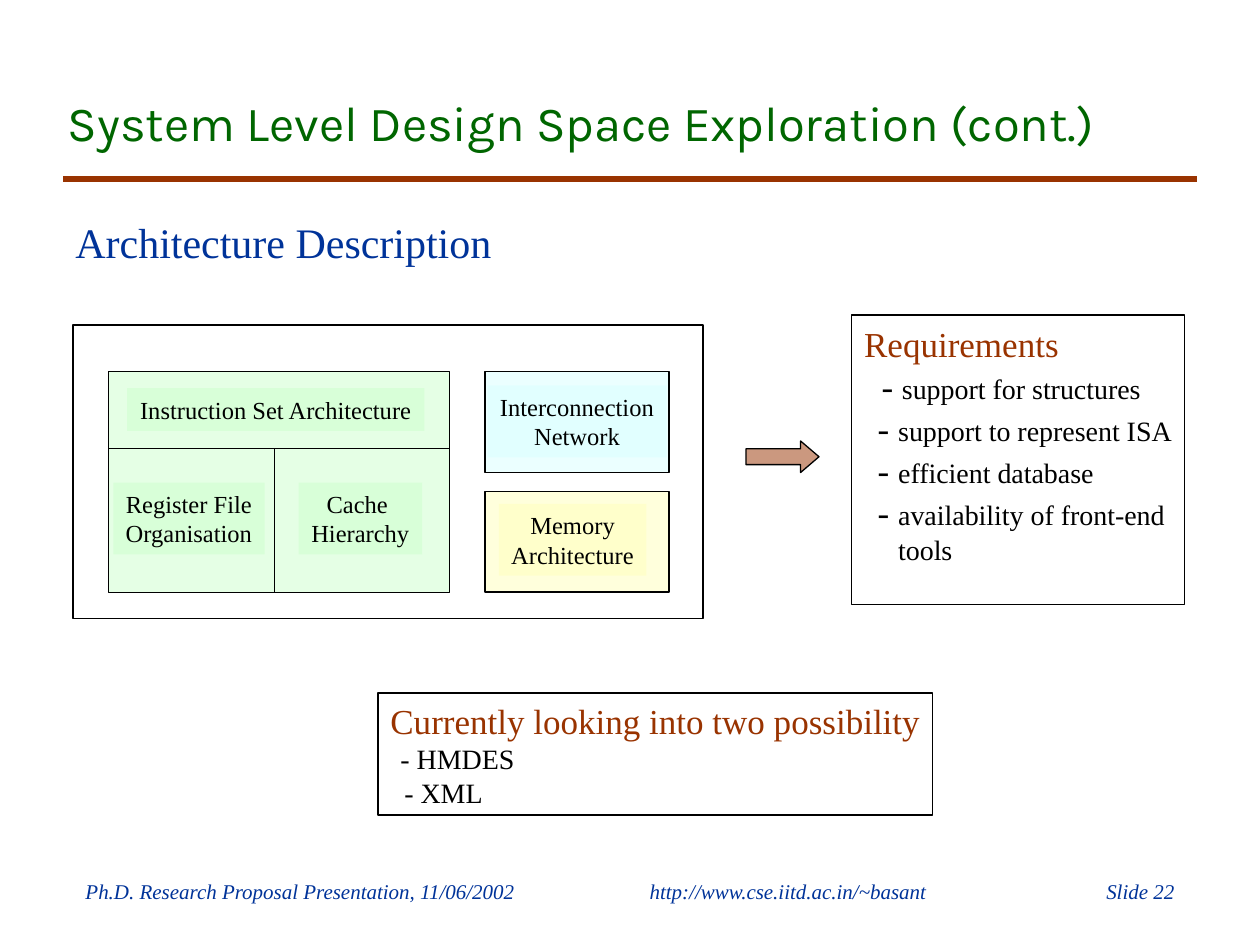
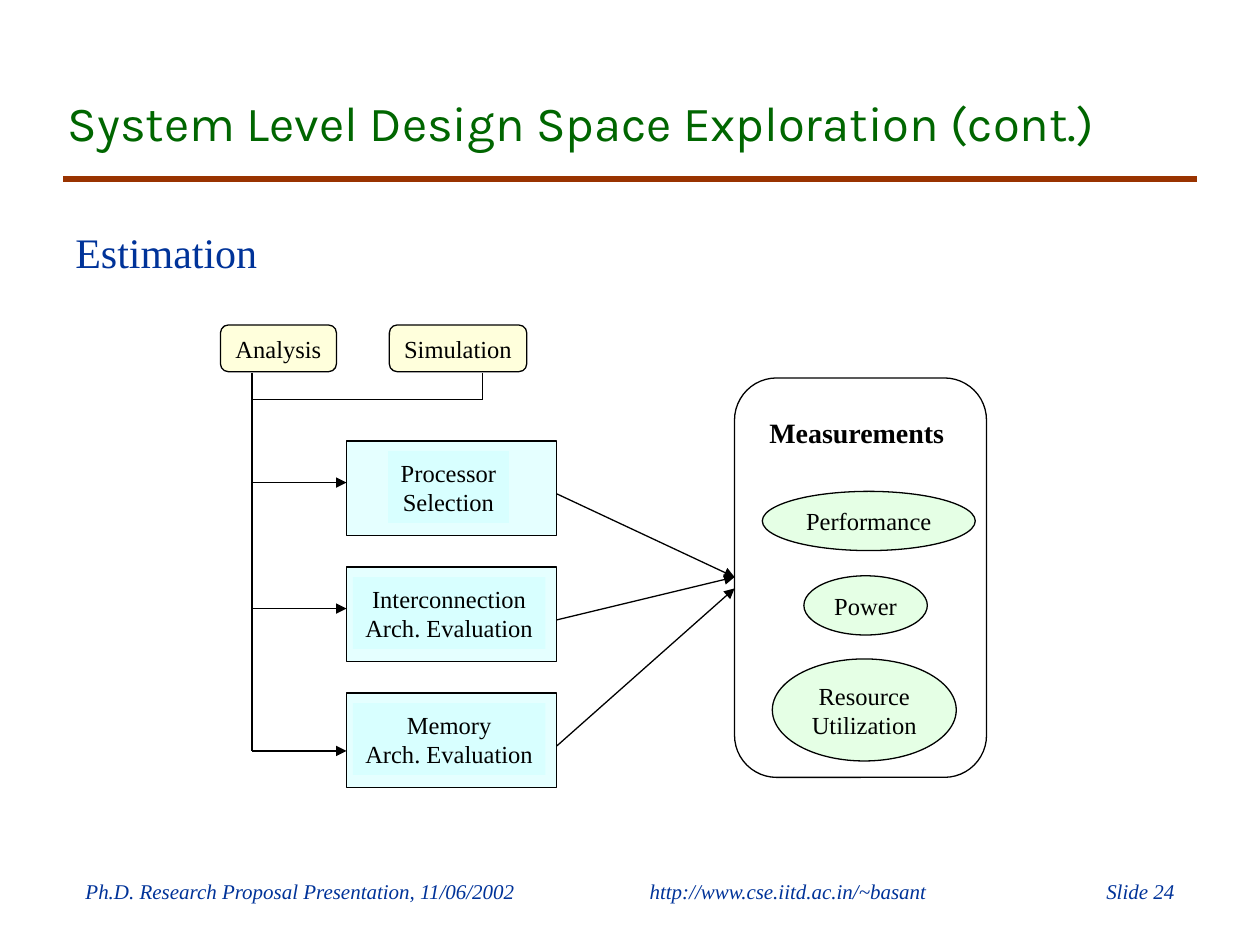
from lxml import etree
from pptx import Presentation
from pptx.dml.color import RGBColor
from pptx.enum.shapes import MSO_CONNECTOR, MSO_SHAPE as SHAPE
from pptx.enum.text import MSO_ANCHOR as ANCHOR, PP_ALIGN as ALIGN
from pptx.oxml.ns import qn
from pptx.util import Inches, Pt

BODY_FONT, TITLE_FONT = "Times New Roman", "Karla"
BLACK, WHITE = "000000", "FFFFFF"
TITLE_GREEN, NAVY, RUST = "006600", "003399", "993300"
GREEN, YELLOW, ICE, CYAN = "CCFFCC", "FFFFBB", "D9FFFF", "CCFFFF"
TITLE = "System Level Design Space Exploration (cont.)"


def rgb(value):
    """Turn a hex string into a colour."""
    return RGBColor.from_string(value)


def add_run(p, text, size=14, color=BLACK, font=BODY_FONT, bold=False, italic=False):
    """Append a formatted run to a paragraph."""
    r = p.add_run()
    r.text = text
    f = r.font
    f.name, f.size, f.bold, f.italic = font, Pt(size), bold, italic
    f.color.rgb = rgb(color)


def set_frame(sp, wrap=False, anchor=ANCHOR.MIDDLE, top=0.05, right=0.1):
    """Set the margins, wrapping and anchor of a text frame and return it."""
    tf = sp.text_frame
    tf.word_wrap, tf.vertical_anchor = wrap, anchor
    tf.margin_left, tf.margin_right = Inches(0.1), Inches(right)
    tf.margin_top, tf.margin_bottom = Inches(top), Inches(0.05)
    return tf


def write(sp, text, align=ALIGN.CENTER, wrap=False, anchor=ANCHOR.MIDDLE, **fmt):
    """Fill a shape with one paragraph per line of text."""
    tf = set_frame(sp, wrap, anchor)
    for i, line in enumerate(text.split("\n")):
        p = tf.add_paragraph() if i else tf.paragraphs[0]
        p.alignment = align
        add_run(p, line, **fmt)


def add_text(s, at, text, **fmt):
    """Add a wrapping text box."""
    write(s.shapes.add_textbox(*map(Inches, at)), text, wrap=True, **fmt)


def add_box(s, at, kind=SHAPE.RECTANGLE, fill=None, alpha=50, line=True, adj=(), text=None):
    """Add a preset shape with an optional translucent fill, outline and text."""
    sp = s.shapes.add_shape(kind, *map(Inches, at))
    sp.shadow.inherit = False
    for i, value in enumerate(adj):
        sp.adjustments[i] = value
    if fill:
        sp.fill.solid()
        sp.fill.fore_color.rgb = rgb(fill)
        clr = sp.fill._xPr.find(qn("a:solidFill"))[0]
        etree.SubElement(clr, qn("a:alpha"), val=str(alpha * 1000))
    else:
        sp.fill.background()
    if line:
        sp.line.color.rgb = rgb(BLACK)
        sp.line.width = Pt(0.75)
    else:
        sp.line.fill.background()
    if text:
        write(sp, text)
    return sp


def add_line(s, x1, y1, x2, y2, color=BLACK, width=0.75, arrow=False):
    """Add a straight line, with an arrowhead at its end if asked."""
    c = s.shapes.add_connector(MSO_CONNECTOR.STRAIGHT, *map(Inches, (x1, y1, x2, y2)))
    c.line.color.rgb = rgb(color)
    c.line.width = Pt(width)
    if arrow:
        etree.SubElement(c.line._get_or_add_ln(), qn("a:tailEnd"), type="triangle")
    etree.SubElement(c._element.spPr, qn("a:effectLst"))


def add_dash_list(s, at, heading, items, dash_size, **frame):
    """Add an outlined box with a heading and (dash, text, margin) items."""
    tf = set_frame(add_box(s, at), wrap=True, right=0, **frame)
    p = tf.paragraphs[0]
    p.alignment = ALIGN.LEFT
    add_run(p, heading, size=20, color=RUST)
    for dash, text, margin in items:
        p = tf.add_paragraph()
        p.alignment = ALIGN.LEFT
        hang = dash_size * 0.583 / 72 if dash else 0
        pPr = p._p.get_or_add_pPr()
        pPr.set("marL", str(Inches(margin)))
        pPr.set("indent", str(-Inches(hang)))
        if dash:
            add_run(p, "- ", size=dash_size)
        add_run(p, text, size=16)


def add_slide(prs, number, heading, heading_top):
    """Add a slide with the shared title, rule, heading and footer."""
    s = prs.slides.add_slide(prs.slide_layouts[6])
    footer = dict(size=12, color=NAVY, italic=True)
    add_text(s, (0.58, 6.92, 3.75, 0.3), "Ph.D. Research Proposal Presentation, 11/06/2002",
             align=ALIGN.LEFT, anchor=ANCHOR.TOP, **footer)
    add_text(s, (4.92, 6.92, 2.67, 0.3), "http://www.cse.iitd.ac.in/~basant",
             anchor=ANCHOR.TOP, **footer)
    add_text(s, (8.25, 6.92, 1.17, 0.3), f"Slide {number}",
             align=ALIGN.RIGHT, anchor=ANCHOR.TOP, **footer)
    add_line(s, 0.5, 1.42, 9.5, 1.42, color=RUST, width=3)
    add_text(s, (0.44, 0.25, 8.5, 1), TITLE, size=28, color=TITLE_GREEN, font=TITLE_FONT,
             align=ALIGN.LEFT, anchor=ANCHOR.BOTTOM)
    add_text(s, (0.5, heading_top, 4, 0.5), heading, size=24, color=NAVY, align=ALIGN.LEFT)
    return s


def add_architecture(prs):
    """Build the architecture description slide."""
    s = add_slide(prs, 22, "Architecture Description", 1.67)
    panels = [((0.86, 2.95, 2.71, 1.75), GREEN), ((3.85, 2.95, 1.46, 0.8), ICE),
              ((3.85, 3.9, 1.46, 0.8), YELLOW)]
    labels = [((1.01, 3.08, 2.36, 0.34), GREEN, "Instruction Set Architecture"),
              ((0.9, 3.83, 1.2, 0.57), GREEN, "Register File\nOrganisation"),
              ((2.37, 3.83, 0.98, 0.57), GREEN, "Cache \nHierarchy"),
              ((3.87, 3.06, 1.42, 0.57), ICE, "Interconnection\nNetwork"),
              ((3.96, 4, 1.17, 0.57), YELLOW, "Memory\nArchitecture")]
    add_box(s, (0.58, 2.58, 5, 2.33))
    for at, color in panels:
        add_box(s, at, fill=color)
    for at, color, text in labels:
        add_box(s, at, fill=color, line=False, text=text)
    add_line(s, 0.86, 3.56, 3.57, 3.56)
    add_line(s, 2.18, 3.56, 2.18, 4.7)

    add_box(s, (5.92, 3.5, 0.58, 0.25), SHAPE.RIGHT_ARROW, fill=RUST, adj=(0.5, 0.583))
    requirements = [(True, "support for structures", 0.3),
                    (True, "support to represent ISA", 0.27),
                    (True, "efficient database", 0.27),
                    (True, "availability of front-end", 0.27),
                    (False, "tools", 0.27)]
    add_dash_list(s, (6.76, 2.5, 2.64, 2.3), "Requirements", requirements,
                  dash_size=20, anchor=ANCHOR.TOP, top=0.06)
    add_dash_list(s, (3, 5.5, 4.4, 0.97), "Currently looking into two possibility",
                  [(True, "HMDES", 0.21), (True, "XML", 0.24)], dash_size=16)


def add_estimation(prs):
    """Build the estimation slide."""
    s = add_slide(prs, 24, "Estimation", 1.75)
    for x, w, text in [(1.75, 0.92, "Analysis"), (3.09, 1.09, "Simulation")]:
        add_box(s, (x, 2.58, w, 0.37), SHAPE.ROUNDED_RECTANGLE, fill=YELLOW,
                adj=(0.167,), text=text)

    add_box(s, (5.83, 3, 2, 3.17), SHAPE.ROUNDED_RECTANGLE, fill=WHITE, alpha=100, adj=(0.167,))
    add_text(s, (5.9, 3.25, 1.8, 0.37), "Measurements", size=16, bold=True)
    for at, text in [((6.05, 3.9, 1.69, 0.47), "Performance"),
                     ((6.38, 4.57, 0.98, 0.47), "Power"),
                     ((6.13, 5.23, 1.46, 0.81), "Resource\nUtilization")]:
        add_box(s, at, SHAPE.OVAL, fill=GREEN, text=text)

    add_line(s, 2, 2.96, 2, 5.96)
    add_line(s, 2, 3.17, 3.83, 3.17)
    add_line(s, 3.83, 3.17, 3.83, 2.96)
    stages = [("Processor\nSelection", 3.08, 0.96, 3.83, 4.58),
              ("Interconnection\nArch. Evaluation", 2.8, 1.53, 4.83, 4.58),
              ("Memory\nArch. Evaluation", 2.8, 1.53, 5.96, 4.67)]
    for i, (text, x, w, entry_y, target_y) in enumerate(stages):
        y = 3.5 + i
        add_box(s, (2.75, y, 1.67, 0.75), fill=CYAN)
        add_box(s, (x, y + 0.08, w, 0.57), fill=CYAN, line=False, text=text)
        add_line(s, 2, entry_y, 2.75, entry_y, arrow=True)
        add_line(s, 4.42, y + 0.42, 5.83, target_y, arrow=True)


def main():
    """Build and save the presentation."""
    prs = Presentation()
    prs.slide_width, prs.slide_height = Inches(10), Inches(7.5)
    add_architecture(prs)
    add_estimation(prs)
    prs.save("out.pptx")


if __name__ == "__main__":
    main()
